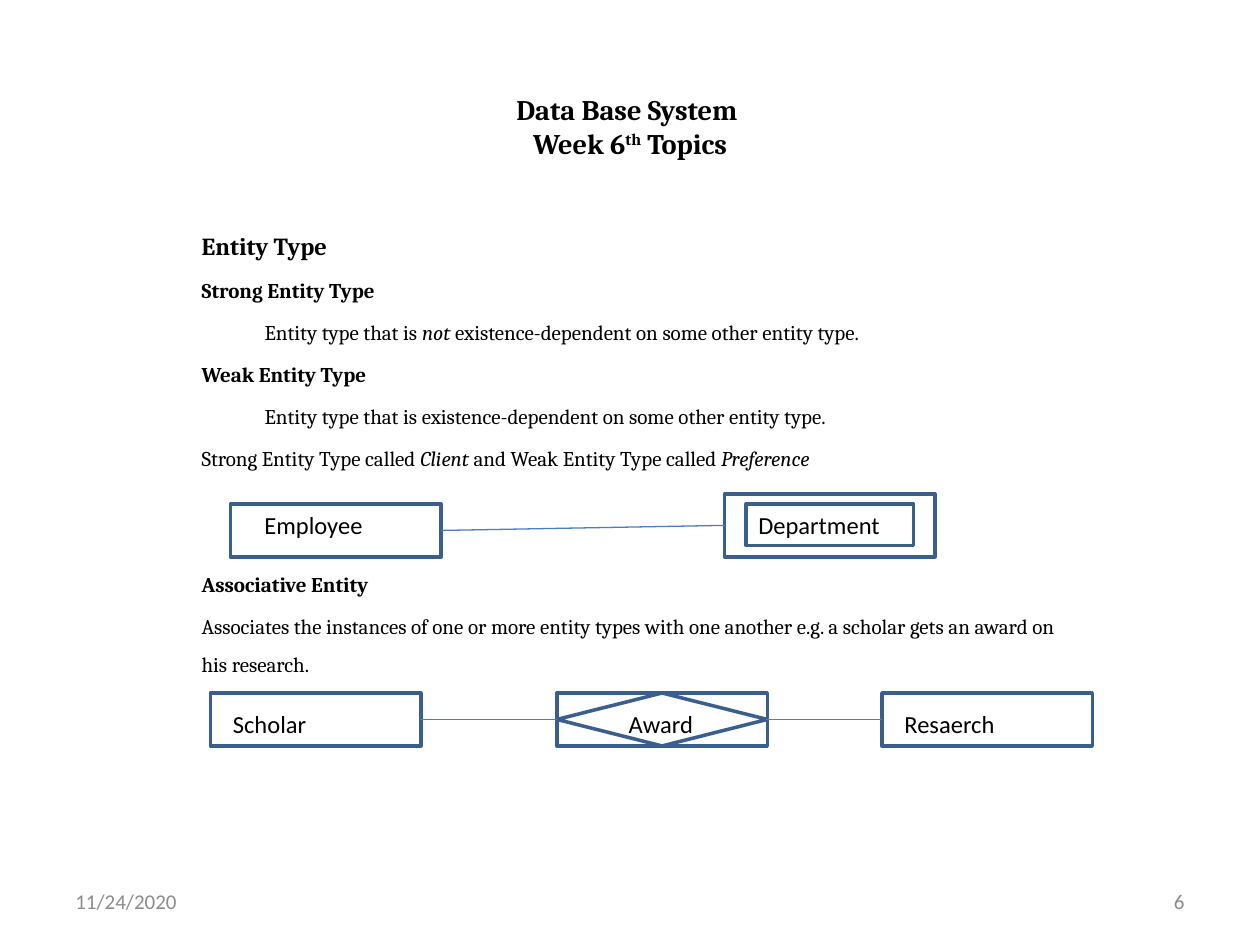
from dataclasses import dataclass

from pptx import Presentation
from pptx.dml.color import RGBColor
from pptx.enum.shapes import MSO_CONNECTOR as Connector, MSO_SHAPE as Shape
from pptx.enum.text import MSO_ANCHOR as Anchor, MSO_AUTO_SIZE as AutoSize, PP_ALIGN as Align
from pptx.oxml.ns import qn
from pptx.util import Inches, Pt


@dataclass(frozen=True)
class Theme:
    heading_font: str = "Cambria"
    label_font: str = "Calibri"
    ink: RGBColor = RGBColor(0, 0, 0)
    muted: RGBColor = RGBColor(0x8C, 0x8C, 0x8C)
    outline: RGBColor = RGBColor(0x3A, 0x5F, 0x8C)
    link: RGBColor = RGBColor(0x4B, 0x7E, 0xBC)
    title_size: float = 16.2
    heading_size: int = 14
    body_size: int = 12
    label_size: int = 14
    footer_size: int = 12
    outline_width: float = 2
    link_width: float = 0.75
    paragraph_gap: float = 2.4
    diagram_gap: float = 50.4


class SlideBuilder:
    def __init__(self, slide, theme):
        self.slide = slide
        self.theme = theme

    def style(self, paragraph, font, size, color, bold=False):
        paragraph.font.name = font
        paragraph.font.size = Pt(size)
        paragraph.font.color.rgb = color
        paragraph.font.bold = bold

    def place(self, shape, left, top, width, height):
        shape.left, shape.top = Inches(left), Inches(top)
        shape.width, shape.height = Inches(width), Inches(height)

    def title(self, before, superscript, after, *bounds):
        shape = self.slide.shapes.title
        self.place(shape, *bounds)
        frame = shape.text_frame
        frame.auto_size = AutoSize.NONE
        frame.vertical_anchor = Anchor.MIDDLE
        frame.text = before
        paragraph = frame.paragraphs[0]
        paragraph.alignment = Align.CENTER
        self.style(paragraph, self.theme.heading_font, self.theme.title_size,
                   self.theme.ink, bold=True)
        raised = paragraph.add_run()
        raised.text = superscript
        raised.font._element.set("baseline", "30000")
        paragraph.add_run().text = after

    def body(self, entries, *bounds):
        shape = self.slide.placeholders[1]
        self.place(shape, *bounds)
        frame = shape.text_frame
        frame.auto_size = AutoSize.NONE
        for index, (pieces, options) in enumerate(entries):
            paragraph = frame.paragraphs[0] if index == 0 else frame.add_paragraph()
            paragraph.level = options.get("level", 0)
            paragraph.alignment = Align.LEFT
            paragraph.line_spacing = 1.5
            paragraph.space_before = Pt(options.get("gap", self.theme.paragraph_gap))
            self.style(paragraph, self.theme.heading_font,
                       options.get("size", self.theme.body_size),
                       self.theme.ink, options.get("bold", False))
            for position, piece in enumerate(pieces):
                run = paragraph.add_run()
                run.text = piece
                if position % 2:
                    run.font.italic = True

    def text(self, words, left, top, width, height, size, color,
             align=Align.LEFT, anchor=Anchor.TOP):
        shape = self.slide.shapes.add_textbox(
            Inches(left), Inches(top), Inches(width), Inches(height))
        frame = shape.text_frame
        frame.word_wrap = True
        frame.vertical_anchor = anchor
        frame.text = words
        paragraph = frame.paragraphs[0]
        paragraph.alignment = align
        self.style(paragraph, self.theme.label_font, size, color)

    def label(self, words, left, top, align=Align.LEFT):
        self.text(words, left, top, 1.33, 0.34, self.theme.label_size,
                  self.theme.ink, align)

    def footer(self, words, left, align):
        self.text(words, left, 6.95, 2.33, 0.4, self.theme.footer_size,
                  self.theme.muted, align, Anchor.MIDDLE)

    def outline(self, left, top, width=1.67, height=0.42, kind=Shape.RECTANGLE):
        shape = self.slide.shapes.add_shape(
            kind, Inches(left), Inches(top), Inches(width), Inches(height))
        shape.shadow.inherit = False
        shape.fill.background()
        shape.line.color.rgb = self.theme.outline
        shape.line.width = Pt(self.theme.outline_width)

    def link(self, *ends):
        connector = self.slide.shapes.add_connector(
            Connector.STRAIGHT, *(Inches(end) for end in ends))
        connector.line.color.rgb = self.theme.link
        connector.line.width = Pt(self.theme.link_width)
        properties = connector._element.spPr
        properties.append(properties.makeelement(qn("a:effectLst"), {}))


def main():
    presentation = Presentation()
    presentation.slide_width, presentation.slide_height = Inches(10), Inches(7.5)
    theme = Theme()
    slide = presentation.slides.add_slide(presentation.slide_layouts[0])
    builder = SlideBuilder(slide, theme)

    builder.title("Data Base System \vWeek 6", "th", " Topics", 0.75, 0.75, 8.5, 0.5)
    builder.body([
        (["Entity Type"], {"bold": True, "size": theme.heading_size}),
        (["Strong Entity Type"], {"bold": True}),
        (["Entity type that is ", "not",
          " existence-dependent on some other entity type."], {"level": 1}),
        (["Weak Entity Type"], {"bold": True}),
        (["Entity type that is existence-dependent on some other entity type."],
         {"level": 1}),
        (["Strong Entity Type called ", "Client ",
          "and Weak Entity Type called ", "Preference"], {}),
        (["Associative Entity"], {"bold": True, "gap": theme.diagram_gap}),
        (["Associates the instances of one or more entity types with one another "
          "e.g. a scholar gets an award on his research."], {}),
    ], 1.5, 1.67, 7, 5.08)

    builder.footer("11/24/2020", 0.5, Align.LEFT)
    builder.footer("6", 7.17, Align.RIGHT)

    builder.outline(1.83, 4)
    builder.outline(5.75, 3.92, height=0.5)
    builder.outline(5.92, 4, 1.33, 0.33)
    builder.link(3.5, 4.21, 5.75, 4.17)
    builder.label("Employee", 2, 4)
    builder.label("Department", 5.92, 4)

    for left in (1.67, 4.42, 7):
        builder.outline(left, 5.5)
    builder.outline(4.42, 5.5, kind=Shape.DIAMOND)
    for start, end in ((3.33, 4.42), (6.08, 7)):
        builder.link(start, 5.71, end, 5.71)
    builder.label("Scholar", 1.75, 5.58)
    builder.label("Award", 4.58, 5.58, Align.CENTER)
    builder.label("Resaerch", 7.08, 5.58)

    presentation.save("out.pptx")


if __name__ == "__main__":
    main()
